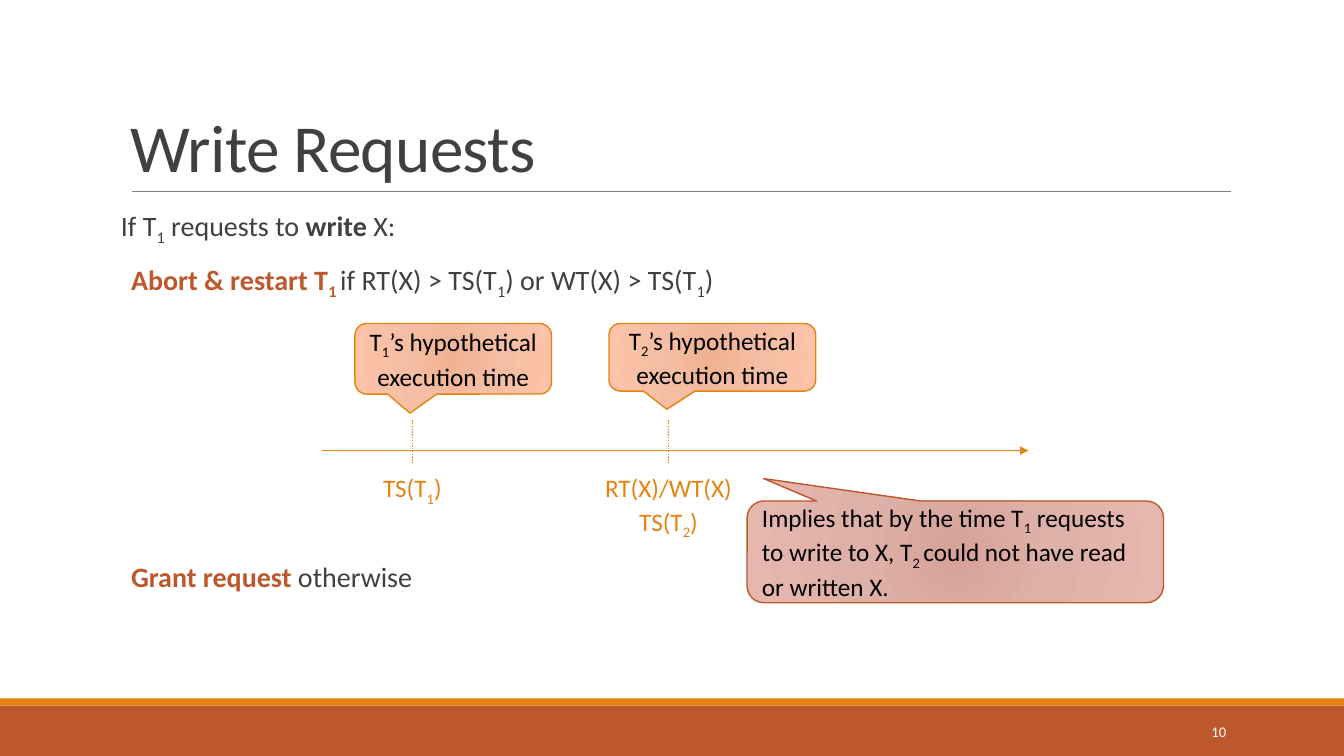
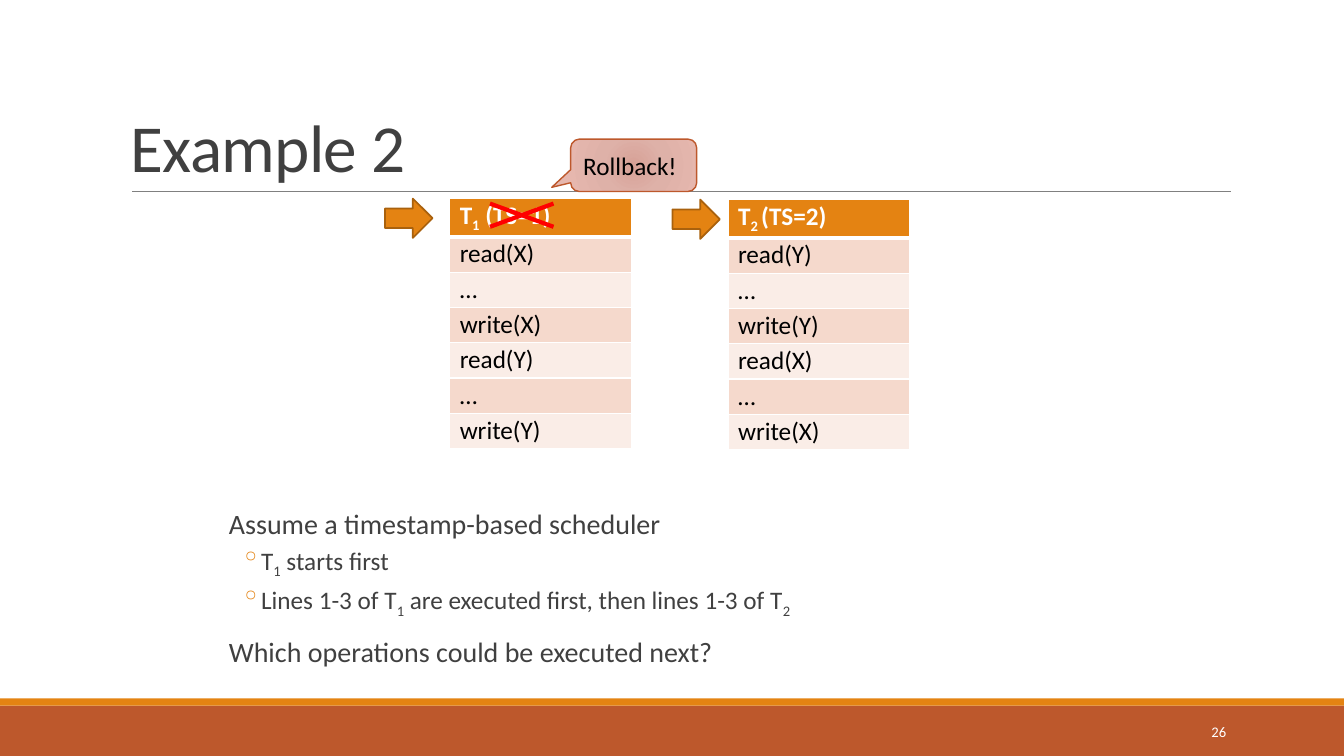
from lxml import etree
from pptx import Presentation
from pptx import util as u
from pptx.dml.color import RGBColor
from pptx.enum import dml, shapes, text
from pptx.oxml import parse_xml
from pptx.oxml.ns import nsdecls, qn

HUES = {
    "dark": "404040", "rust": "BD582C", "gold": "E48312", "rule": "808080",
    "edge": "A9610D", "red": "FF0000", "white": "FFFFFF", "black": "000000",
    "odd": "F5D9CC", "even": "FAEDE7",
}
# Callout styles: line colour and radial stops
PEACH = ("gold", ("F0B191", "F5BEA4", "FDC3A8"))
ROSE = ("rust", ("D7A197", "DEB1A8", "E6B7AE"))
FONT = "Calibri"
LEFT, MID, RIGHT = text.PP_ALIGN.LEFT, text.PP_ALIGN.CENTER, text.PP_ALIGN.RIGHT
KIND = shapes.MSO_SHAPE


def rgb(name):
    return RGBColor.from_string(HUES[name])


def box(*dims):
    return [u.Inches(d) for d in dims]


# ---- Text ----
def write(par, words, size, hue, align=LEFT, strong=None, bold=None, track=None):
    """Set a paragraph; *bold* and ~subscript~ are marked in the words."""
    par.alignment = align
    font = par.font
    font.name, font.size, font.bold = FONT, u.Pt(size), bold
    font.color.rgb = rgb(hue)
    for i, part in enumerate(words.split("*")):
        for j, bit in enumerate(part.split("~")):
            if not bit:
                continue
            run = par.add_run()
            run.text = bit
            if i % 2:
                run.font.bold = True
                if strong:
                    run.font.color.rgb = rgb(strong)
            props = run._r.get_or_add_rPr()
            if j % 2:
                props.set("baseline", "-25000")
            if track:
                props.set("spc", str(track))


def label(sl, dims, words, size, hue, align=LEFT, anchor=text.MSO_ANCHOR.TOP,
          wrap=True, track=None):
    frame = sl.shapes.add_textbox(*box(*dims)).text_frame
    frame.word_wrap, frame.vertical_anchor = wrap, anchor
    par = frame.paragraphs[0]
    write(par, words, size, hue, align, track=track)
    return par


def body(sl, dims, items):
    """Items are (words, size, left margin, space before, space after, bullet)."""
    frame = sl.shapes.add_textbox(*box(*dims)).text_frame
    frame.word_wrap = True
    frame.margin_left = frame.margin_right = 0
    for i, (words, size, left, before, after, mark) in enumerate(items):
        par = frame.add_paragraph() if i else frame.paragraphs[0]
        par.line_spacing = 0.9
        par.space_after = u.Pt(after)
        if i:
            par.space_before = u.Pt(before)
        props = par._p.get_or_add_pPr()
        props.set("marL", str(u.Inches(left)))
        if mark:
            props.set("indent", str(u.Inches(-0.2)))
            tint = etree.SubElement(props, qn("a:buClr"))
            etree.SubElement(tint, qn("a:srgbClr"), val=HUES["gold"])
            etree.SubElement(props, qn("a:buChar"), char=mark)
        write(par, words, size, "dark", strong="rust" if left else None)


# ---- Shapes ----
def line(sl, start, end, hue, width, dash=None, head=False):
    con = sl.shapes.add_connector(shapes.MSO_CONNECTOR.STRAIGHT,
                                  *box(*start, *end))
    con.line.color.rgb, con.line.width = rgb(hue), u.Pt(width)
    if dash:
        con.line.dash_style = dash
    if head:
        etree.SubElement(con.line._get_or_add_ln(), qn("a:tailEnd"),
                         type="triangle")
    etree.SubElement(con._element.spPr, qn("a:effectLst"))


def block(sl, kind, dims, fill, edge=None, width=1):
    shp = sl.shapes.add_shape(kind, *box(*dims))
    shp.shadow.inherit = False
    shp.fill.solid()
    shp.fill.fore_color.rgb = rgb(fill)
    if edge:
        shp.line.color.rgb, shp.line.width = rgb(edge), u.Pt(width)
    else:
        shp.line.fill.background()
    return shp


def callout(sl, dims, tip, style, words, align=LEFT):
    edge, tints = style
    shp = block(sl, KIND.ROUNDED_RECTANGULAR_CALLOUT, dims, edge, edge)
    shp.adjustments[0], shp.adjustments[1] = tip
    stops = "".join(f'<a:gs pos="{pos}000"><a:srgbClr val="{tint}"/></a:gs>'
                    for pos, tint in zip((0, 45, 100), tints))
    far = " ".join(f'{side}="100000"' for side in "ltrb")
    grad = parse_xml(
        f'<a:gradFill {nsdecls("a")}><a:gsLst>{stops}</a:gsLst>'
        f'<a:path path="circle"><a:fillToRect {far}/></a:path></a:gradFill>')
    props = shp._element.spPr
    props.replace(props.find(qn("a:solidFill")), grad)
    frame = shp.text_frame
    frame.word_wrap, frame.vertical_anchor = True, text.MSO_ANCHOR.MIDDLE
    write(frame.paragraphs[0], words, 18, "black", align)


# ---- Shared frame: bands, rule, title, number ----
def base(deck, title, number):
    sl = deck.slides.add_slide(deck.slide_layouts[6])
    block(sl, KIND.RECTANGLE, (0, 7, 13.33, 0.5), "rust")
    block(sl, KIND.RECTANGLE, (0, 6.93, 13.33, 0.07), "gold")
    line(sl, (1.31, 1.9), (12.21, 1.9), "rule", 0.5)
    head = label(sl, (1.2, 0.31, 11, 1.59), title, 48, "dark",
                 anchor=text.MSO_ANCHOR.BOTTOM, track=-50)
    head.line_spacing = 0.85
    label(sl, (10.83, 7.06, 1.43, 0.4), number, 10.5, "white", RIGHT,
          text.MSO_ANCHOR.MIDDLE)
    return sl


# ---- Time axis with labelled ticks ----
def axis(sl, left, top, width, ticks):
    line(sl, (left, top), (left + width, top), "gold", 1.25, head=True)
    for shift, names in ticks:
        x = left + shift
        line(sl, (x, top - 0.3), (x, top + 0.13), "gold", 1,
             dml.MSO_LINE.ROUND_DOT)
        for i, name in enumerate(names):
            label(sl, (x - 0.74, top + 0.17 + 0.33 * i, 1.48, 0.4), name,
                  18, "gold", MID, wrap=False)


# ---- One transaction as a column of steps ----
def border(cell, top, bottom):
    props = cell._tc.get_or_add_tcPr()
    for i, (side, width) in enumerate(
            (("L", 1), ("R", 1), ("T", top), ("B", bottom))):
        props.insert(i, parse_xml(
            f'<a:ln{side} {nsdecls("a")} w="{u.Pt(width)}"><a:solidFill>'
            f'<a:srgbClr val="{HUES["white"]}"/></a:solidFill></a:ln{side}>'))


def steps(sl, left, top, rows, gap):
    grid = sl.shapes.add_table(len(rows), 1, *box(left, top, 1.8, 2.44)).table
    for i, words in enumerate(rows):
        grid.rows[i].height = u.Inches(0.35 if i else 0.34)
        cell = grid.cell(i, 0)
        cell.margin_left = cell.margin_right = u.Inches(0.1)
        cell.margin_top = cell.margin_bottom = u.Inches(0.02)
        cell.fill.solid()
        cell.fill.fore_color.rgb = rgb(
            ("odd" if i % 2 else "even") if i else "gold")
        border(cell, 3 if i == 1 else 1, 1 if i else 3)
        write(cell.text_frame.paragraphs[0], words, 18,
              "black" if i else "white", bold=not i)
    # Pointer to the current line
    block(sl, KIND.RIGHT_ARROW, (left - gap, top, 0.47, 0.39), "gold",
          "edge", 1.25)


def cross(sl, left, top, width, height):
    right, low = left + width, top + height
    line(sl, (left, low), (right, top), "red", 3)
    line(sl, (left, top), (right, low), "red", 3)


# ---- Slides ----
def requests(deck):
    sl = base(deck, "Write Requests", "10")
    body(sl, (1.2, 2.02, 11, 4.4), [
        ("If T~1~ requests to *write* X:", 20, 0, 0, 2, None),
        ("*Abort & restart T~1 ~*if RT(X) > TS(T~1~) or WT(X) > TS(T~1~)",
         20, 0.1, 12, 2, None),
        ("*Grant request *otherwise", 20, 0.1, 188, 2, None),
    ])
    axis(sl, 3.19, 4.47, 7.01, [
        (0.9, ["TS(T~1~)"]),
        (3.44, ["RT(X)/WT(X)", "TS(T~2~)"]),
    ])
    for n, dims in ((1, (3.52, 3.21, 1.95, 0.7)), (2, (6.04, 3.21, 2.05, 0.67))):
        callout(sl, dims, (-0.22, 0.77), PEACH,
                f"T~{n}~’s hypothetical execution time", MID)
    callout(sl, (7.41, 4.97, 4.13, 1.01), (-0.46, -0.72), ROSE,
            "Implies that by the time T~1~ requests to write to X, "
            "T~2 ~could not have read or written X.")


def example(deck):
    sl = base(deck, "Example 2", "26")
    body(sl, (2.17, 5.01, 9, 2.04), [
        ("Assume a timestamp-based scheduler", 20, 0.1, 0, 2, None),
        ("T~1~ starts first", 18, 0.42, 2, 4, "◦"),
        ("Lines 1-3 of T~1~ are executed first, then lines 1-3 of T~2~",
         18, 0.42, 2, 4, "◦"),
        ("Which operations could be executed next?", 20, 0.1, 12, 2, None),
    ])
    for left, top, gap, head, order in (
            (4.46, 1.97, 0.64, "T~1~ (TS=1)", "XY"),
            (7.22, 1.98, 0.55, "T~2 ~(TS=2)", "YX")):
        rows = [head] + [step for item in order
                         for step in (f"read({item})", "…", f"write({item})")]
        steps(sl, left, top, rows, gap)
    callout(sl, (5.66, 1.38, 1.25, 0.52), (-0.65, 0.42), ROSE, "Rollback!")
    cross(sl, 4.86, 2.02, 0.63, 0.23)


def main():
    deck = Presentation()
    deck.slide_width, deck.slide_height = box(13.33, 7.5)
    requests(deck)
    example(deck)
    deck.save("out.pptx")


if __name__ == "__main__":
    main()
